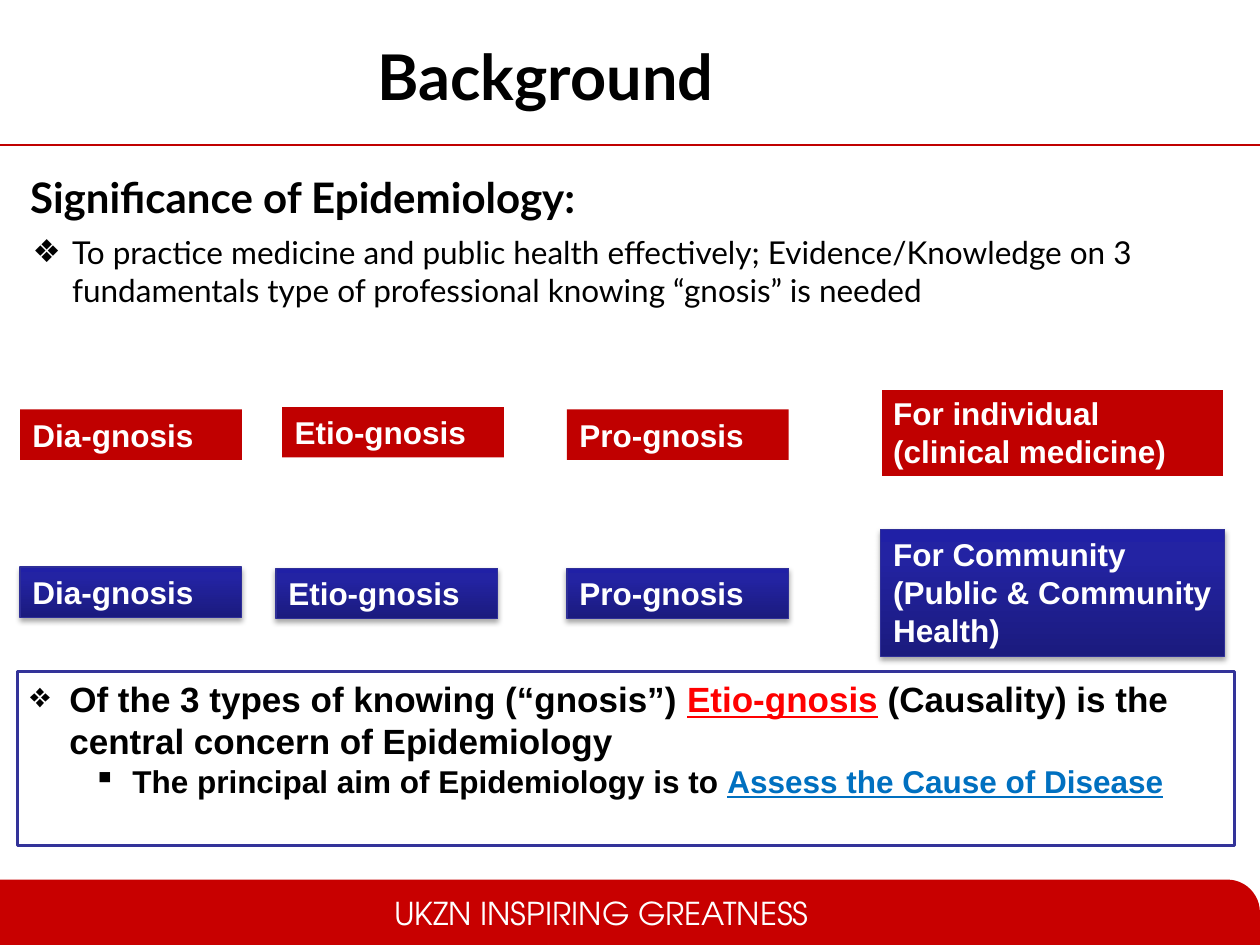
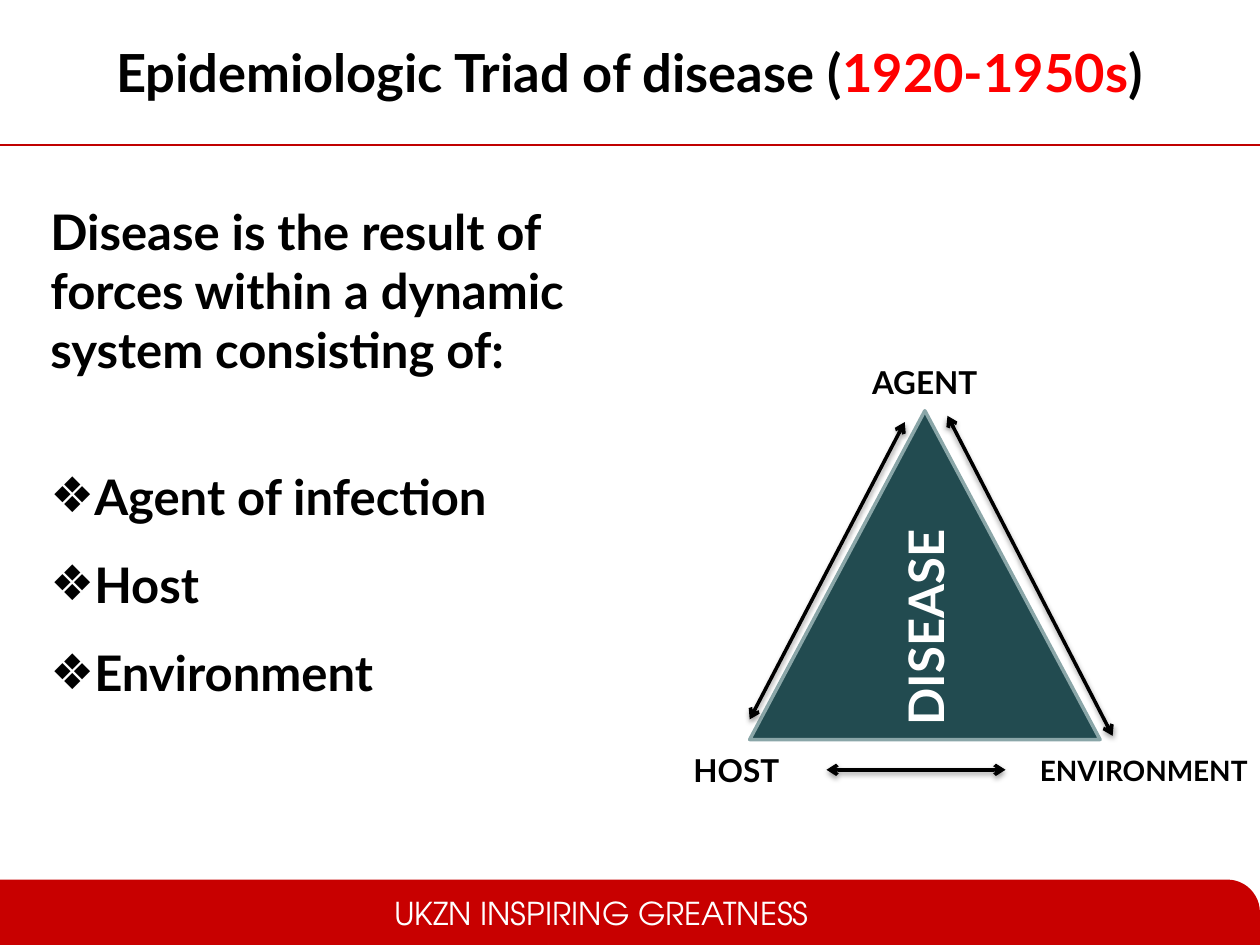
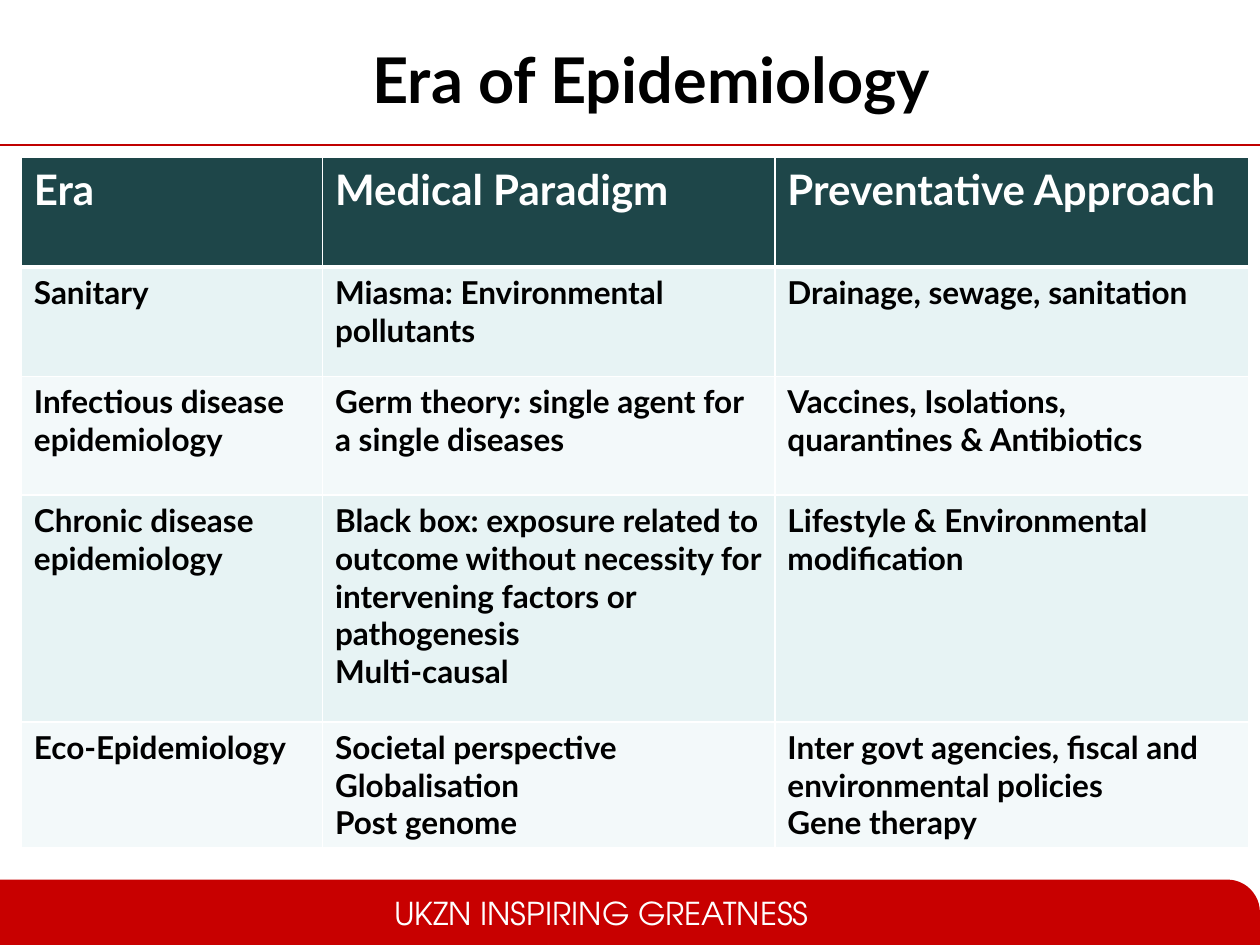
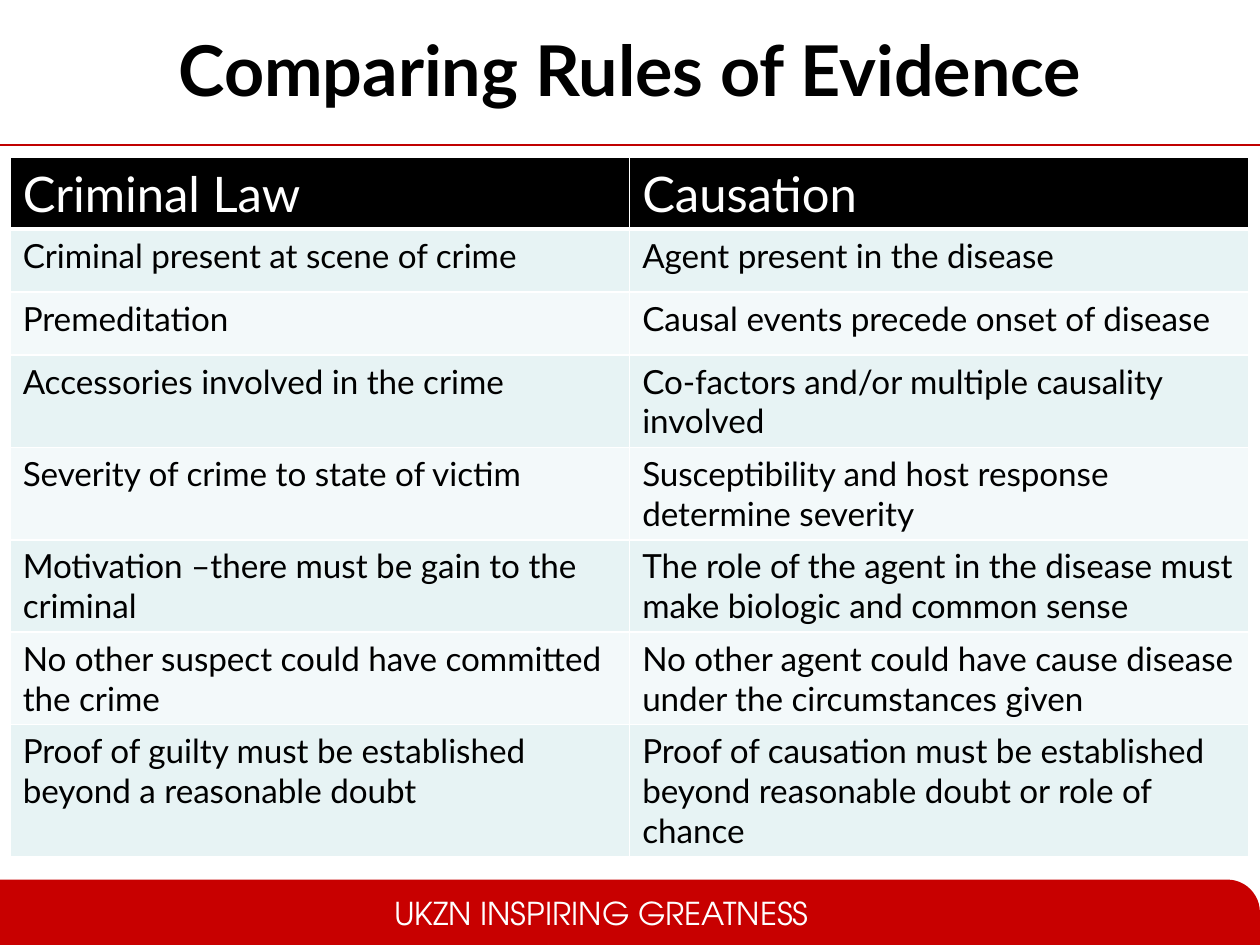
import copy

import pptx
import pptx.dml.color
import pptx.enum.shapes
import pptx.enum.text
import pptx.oxml
import pptx.oxml.ns
import pptx.util

Pt = pptx.util.Pt
RGB = pptx.dml.color.RGBColor
SHAPE = pptx.enum.shapes.MSO_SHAPE
ALIGN = pptx.enum.text.PP_ALIGN
ANCHOR = pptx.enum.text.MSO_ANCHOR
qn = pptx.oxml.ns.qn

BLACK, WHITE = RGB(0, 0, 0), RGB(255, 255, 255)
RED, BRIGHT_RED = RGB(0xC0, 0, 0), RGB(255, 0, 0)
BAND_RED = RGB(0xC8, 0, 0)
SKY = RGB(0, 0x70, 0xC0)
NAVY_EDGE, INDIGO = RGB(0x2F, 0x2F, 0x98), RGB(0x33, 0x33, 0x99)
NAVY_STOPS = [(0, RGB(0x1B, 0x1B, 0x7E)), (0.8, RGB(0x23, 0x23, 0xA3)), (1, RGB(0x20, 0x20, 0xA6))]
TEAL, TEAL_EDGE = RGB(0x22, 0x4B, 0x50), RGB(0x8A, 0xA6, 0xA8)
HEADER_TEAL = RGB(0x1E, 0x46, 0x49)
ROW_FILLS = [RGB(0xE7, 0xF3, 0xF4), RGB(0xF3, 0xF9, 0xFA)]

# Shadows: opacity %, blur, distance, direction in degrees
RULE_SHADOW = (40, 4, 3, 45)
BOX_SHADOW = (35, 3.1, 1.8, 90)
ARROW_SHADOW = (38, 3.1, 1.6, 90)

TITLE_AND_BODY, TITLE_ONLY = 1, 5
HANG = 22.5

FOOTER = "UKZN INSPIRING GREATNESS"

# Slide 1
SIGNIFICANCE = "Significance of Epidemiology:"
EVIDENCE = [{
    "bullet": "❖", "left": HANG,
    "runs": [("To practice medicine and public health effectively; Evidence/Knowledge on 3 "
              "fundamentals type of professional knowing “gnosis” is needed", {})],
}]
GNOSIS_W, GNOSIS_H = 126.7, 28.8
GNOSIS = [  # text, left and top of the individual box, left and top of the community box
    ("Dia-gnosis", (11.5, 234), (11.5, 324)),
    ("Etio-gnosis", (161.3, 232.6), (157.7, 324.7)),
    ("Pro-gnosis", (324, 234), (324, 324.7)),
]
INDIVIDUAL = ("For individual (clinical medicine)", (503.3, 221.8, 196.6, 51.1))
COMMUNITY = ("For Community (Public & Community Health)", (503.3, 302.4, 196.6, 72.7))
CENTRAL_CONCERN = [
    {"bullet": "❖", "left": HANG, "runs": [
        ("Of the 3 types of knowing (“gnosis”) ", {}),
        ("Etio-gnosis", {"color": BRIGHT_RED, "underline": True}),
        (" (Causality) is the central concern of Epidemiology", {})]},
    {"bullet": "▪", "left": 58.5, "level": 1, "runs": [
        ("The principal aim of Epidemiology is to ", {"size": 18}),
        ("Assess the Cause of Disease", {"size": 18, "color": SKY, "underline": True})]},
]

# Slide 2
TRIAD_TITLE = [{"runs": [("Epidemiologic Triad of disease (", {}),
                         ("1920-1950s", {"color": BRIGHT_RED}), (")", {})]}]
FORCES = ["Disease is the result of forces within a dynamic system consisting of:"] + [
    {"bullet": "❖", "left": HANG, "spacing": 1.5, "before": before, "runs": [(name, {})]}
    for name, before in [("Agent of infection", 33.6), ("Host", 0), ("Environment", 0)]]
CORNERS = [
    ("AGENT", (483.8, 203.8, 89.3, 28.8), 18, ALIGN.CENTER),
    ("ENVIRONMENT", (574.6, 427, 145.4, 26.6), 16, ALIGN.RIGHT),
    ("HOST", (375.1, 425.5, 91.4, 28.8), 18, ALIGN.CENTER),
]
ARROWS = [
    (541.4, 237.6, 635.8, 420.5),
    (428.4, 411.1, 517, 241.2),
    (472.3, 439.9, 574.6, 439.9),
]

# Slides 3 and 4: a cell is a text, or a list of paragraphs
ERAS = [
    ("Era", "Medical Paradigm", "Preventative Approach"),
    ("Sanitary", "Miasma: Environmental pollutants", "Drainage, sewage, sanitation"),
    ("Infectious disease epidemiology", "Germ theory: single agent for a single diseases",
     "Vaccines, Isolations, quarantines & Antibiotics"),
    ("Chronic disease epidemiology",
     ["Black box: exposure related to outcome without necessity for intervening factors "
      "or pathogenesis", "Multi-causal"],
     "Lifestyle & Environmental modification"),
    ("Eco-Epidemiology", ["Societal perspective", "Globalisation", "Post genome"],
     ["Inter govt agencies, fiscal and environmental policies", "Gene therapy"]),
]
EVIDENCE_RULES = [
    ("Criminal Law", "Causation"),
    ("Criminal present at scene of crime", "Agent present in the disease"),
    ("Premeditation", "Causal events precede onset of disease"),
    ("Accessories involved in the crime", "Co-factors and/or multiple causality involved"),
    ("Severity of crime to state of victim", "Susceptibility and host response determine severity"),
    ("Motivation –there must be gain to the criminal",
     "The role of the agent in the disease must make biologic and common sense"),
    ("No other suspect could have committed the crime",
     "No other agent could have cause disease under the circumstances given"),
    ("Proof of guilty must be established beyond a reasonable doubt",
     "Proof of causation must be established beyond reasonable doubt or role of chance"),
]


def sub(parent, tag, **attrs):
    el = parent.makeelement(qn(tag), {k: str(v) for k, v in attrs.items()})
    parent.append(el)
    return el


def set_bullet(p, char, left):
    pPr = p._p.get_or_add_pPr()
    pPr.set("marL", str(Pt(left)))
    pPr.set("indent", str(-Pt(HANG) if char else 0))
    if char:
        sub(pPr, "a:buChar", char=char)
    else:
        sub(pPr, "a:buNone")


def write(tf, text, *, font="Lato", size=18, color=BLACK, bold=False,
          align=ALIGN.LEFT, anchor=ANCHOR.TOP):
    """Fill a text frame from a string or a list of strings and paragraph dicts."""
    tf.word_wrap = True
    tf.vertical_anchor = anchor
    for i, para in enumerate([text] if isinstance(text, str) else text):
        if isinstance(para, str):
            para = {"runs": [(para, {})]}
        p = tf.paragraphs[0] if i == 0 else tf.add_paragraph()
        p.alignment = align
        p.level = para.get("level", 0)
        p.space_before = Pt(para.get("before", 0))
        p.line_spacing = para.get("spacing", 1.0)
        set_bullet(p, para.get("bullet"), para.get("left", 0))
        for words, own in para["runs"]:
            r = p.add_run()
            r.text = words
            r.font.name = font
            r.font.size = Pt(own.get("size", size))
            r.font.bold = bold
            r.font.color.rgb = own.get("color", color)
            if own.get("underline"):
                r.font.underline = True


def place(sp, box):
    sp.left, sp.top, sp.width, sp.height = map(Pt, box)


def set_shadow(sp, shadow=None):
    """Replace the theme's effects by the given shadow, or by none."""
    effects = sub(sp.element.spPr, "a:effectLst")
    if shadow:
        opacity, blur, dist, angle = shadow
        outer = sub(effects, "a:outerShdw", blurRad=Pt(blur), dist=Pt(dist),
                    dir=angle * 60000, algn="ctr", rotWithShape=0)
        sub(sub(outer, "a:srgbClr", val=BLACK), "a:alpha", val=opacity * 1000)


def set_gradient(sp, stops):
    sp.fill.gradient()
    sp.fill.gradient_angle = 90
    gs_list = sp.element.spPr.find(".//" + qn("a:gsLst"))
    while len(gs_list) < len(stops):
        gs_list.append(copy.deepcopy(gs_list[-1]))
    for stop, (position, color) in zip(sp.fill.gradient_stops, stops):
        stop.position = position
        stop.color.rgb = color


def add_box(slide, box, fill, kind=SHAPE.RECTANGLE, line=None, width=2, shadow=None):
    """Add a preset shape; fill is one colour or a list of gradient stops."""
    sp = slide.shapes.add_shape(kind, *map(Pt, box))
    if isinstance(fill, list):
        set_gradient(sp, fill)
    else:
        sp.fill.solid()
        sp.fill.fore_color.rgb = fill
    if line:
        sp.line.color.rgb = line
        sp.line.width = Pt(width)
    else:
        sp.line.fill.background()
    set_shadow(sp, shadow)
    return sp


def add_text(slide, box, text, **fmt):
    sp = slide.shapes.add_textbox(*map(Pt, box))
    write(sp.text_frame, text, **fmt)
    return sp


def add_line(slide, ends, color, width, shadow, arrows=False):
    cxn = slide.shapes.add_connector(pptx.enum.shapes.MSO_CONNECTOR.STRAIGHT, *map(Pt, ends))
    cxn.line.color.rgb = color
    cxn.line.width = Pt(width)
    if arrows:
        ln = cxn.element.spPr.find(qn("a:ln"))
        for end in ("a:headEnd", "a:tailEnd"):
            sub(ln, end, type="arrow")
    set_shadow(cxn, shadow)
    return cxn


def add_slide(prs, layout, title, box, size):
    slide = prs.slides.add_slide(prs.slide_layouts[layout])
    place(slide.shapes.title, box)
    write(slide.shapes.title.text_frame, title, size=size, bold=True,
          align=ALIGN.CENTER, anchor=ANCHOR.MIDDLE)
    return slide


def fill_body(slide, box, text, **fmt):
    body = slide.placeholders[1]
    place(body, box)
    body.text_frame.auto_size = pptx.enum.text.MSO_AUTO_SIZE.NONE
    write(body.text_frame, text, **fmt)


def set_borders(cell, bottom):
    tcPr = cell._tc.get_or_add_tcPr()
    for side, width in (("L", 1), ("R", 1), ("T", 1), ("B", bottom)):
        ln = sub(tcPr, "a:ln" + side, w=Pt(width))
        sub(sub(ln, "a:solidFill"), "a:srgbClr", val=WHITE)


def add_grid(slide, left, top, cols, rows, cells, header_fill, header_size, size, bold):
    table = slide.shapes.add_table(len(rows), len(cols), Pt(left), Pt(top),
                                   Pt(sum(cols)), Pt(sum(rows))).table
    for column, width in zip(table.columns, cols):
        column.width = Pt(width)
    for i, (height, texts) in enumerate(zip(rows, cells)):
        table.rows[i].height = Pt(height)
        header = i == 0
        for j, text in enumerate(texts):
            cell = table.cell(i, j)
            set_borders(cell, 3 if header else 1)
            cell.fill.solid()
            cell.fill.fore_color.rgb = header_fill if header else ROW_FILLS[(i - 1) % 2]
            write(cell.text_frame, text, size=header_size if header else size,
                  color=WHITE if header else BLACK, bold=bold)


def decorate_master(prs, slide):
    """Draw the rule and footer band on a slide, then move them to the master."""
    band = add_box(slide, (0, 502.6, 720, 37.4), BAND_RED, SHAPE.ROUND_1_RECTANGLE)
    band.adjustments[0] = 0.5
    parts = [
        add_line(slide, (0, 82.8, 720, 82.8), RED, 0.75, RULE_SHADOW),
        band,
        add_text(slide, (218.2, 507.6, 254.9, 28.8), FOOTER,
                 font="TeX Gyre Adventor", color=WHITE),
    ]
    for number, sp in enumerate(parts, 101):
        sp.element.xpath("./*/p:cNvPr")[0].set("id", str(number))
        prs.slide_master.shapes.element.append(sp.element)


def background_slide(prs):
    slide = add_slide(prs, TITLE_AND_BODY, "Background", (18, 5.8, 587.5, 74.2), 36)
    decorate_master(prs, slide)
    add_text(slide, (10.1, 94.3, 386, 36), SIGNIFICANCE, size=24, bold=True)
    fill_body(slide, (11.5, 129.6, 689, 51.1), EVIDENCE)

    individual = {"fill": RED}
    community = {"fill": NAVY_STOPS, "line": NAVY_EDGE, "width": 0.75, "shadow": BOX_SHADOW}
    boxes = []
    for text, upper, lower in GNOSIS:
        boxes.append((text, (*upper, GNOSIS_W, GNOSIS_H), individual))
        boxes.append((text, (*lower, GNOSIS_W, GNOSIS_H), community))
    boxes.append((*COMMUNITY, community))
    boxes.append((*INDIVIDUAL, {**individual, "line": WHITE}))
    for text, box, look in boxes:
        sp = add_box(slide, box, **look)
        write(sp.text_frame, text, font="Arial", color=WHITE, bold=True)

    concern = add_box(slide, (10.1, 383.8, 695.5, 99.4), WHITE, line=INDIGO)
    write(concern.text_frame, CENTRAL_CONCERN, font="Arial", size=20, bold=True)


def triad_slide(prs):
    slide = add_slide(prs, TITLE_AND_BODY, TRIAD_TITLE, (5.8, 6.5, 707.8, 69.1), 30)
    fill_body(slide, (21.6, 111.6, 347.8, 363.6), FORCES, size=28, bold=True)
    add_box(slide, (428.4, 234.7, 200.2, 187.9), TEAL, SHAPE.ISOSCELES_TRIANGLE, line=TEAL_EDGE)
    disease = add_text(slide, (459.4, 331.9, 138.2, 41), "DISEASE",
                       size=28, color=WHITE, bold=True)
    disease.rotation = 270
    for text, box, size, align in CORNERS:
        add_text(slide, box, text, size=size, bold=True, align=align)
    for ends in ARROWS:
        add_line(slide, ends, BLACK, 2, ARROW_SHADOW, arrows=True)


def era_slide(prs):
    slide = add_slide(prs, TITLE_ONLY, "Era of Epidemiology", (48.2, 0, 648, 90), 36)
    add_grid(slide, 12.2, 90, [172.1, 258.5, 270.7], [62.6, 62.6, 67.7, 129.6, 67.7],
             ERAS, HEADER_TEAL, 24, 18, bold=True)


def evidence_slide(prs):
    slide = add_slide(prs, TITLE_ONLY, "Comparing Rules of Evidence", (36, 5.8, 648, 66.2), 40)
    add_grid(slide, 5.8, 90, [354] * 2, [18] + [36] * 2 + [51.1] * 5,
             EVIDENCE_RULES, BLACK, 28, 19, bold=False)


def main():
    prs = pptx.Presentation()
    prs.slide_width, prs.slide_height = Pt(720), Pt(540)
    background_slide(prs)
    triad_slide(prs)
    era_slide(prs)
    evidence_slide(prs)
    prs.save("out.pptx")


if __name__ == "__main__":
    main()
